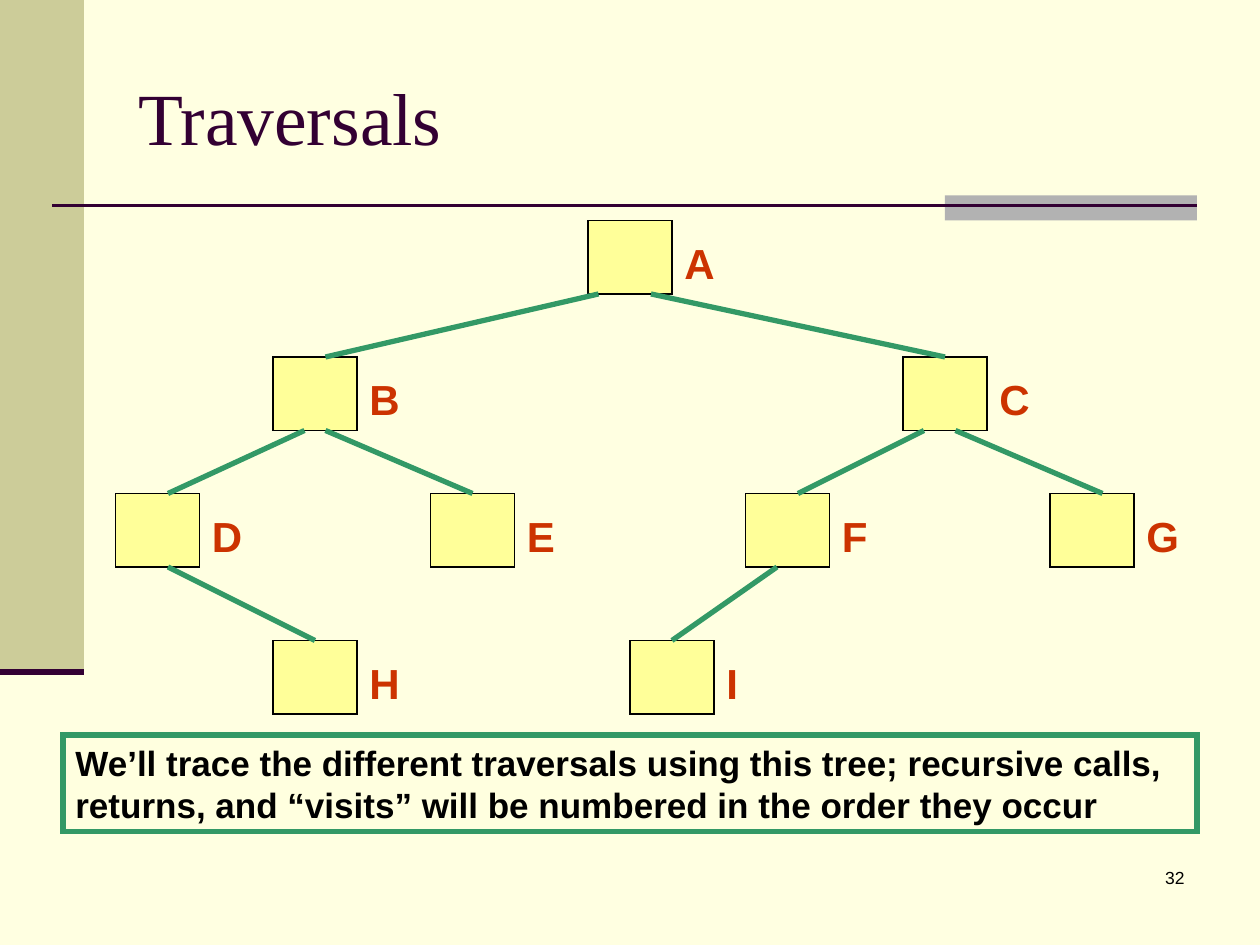
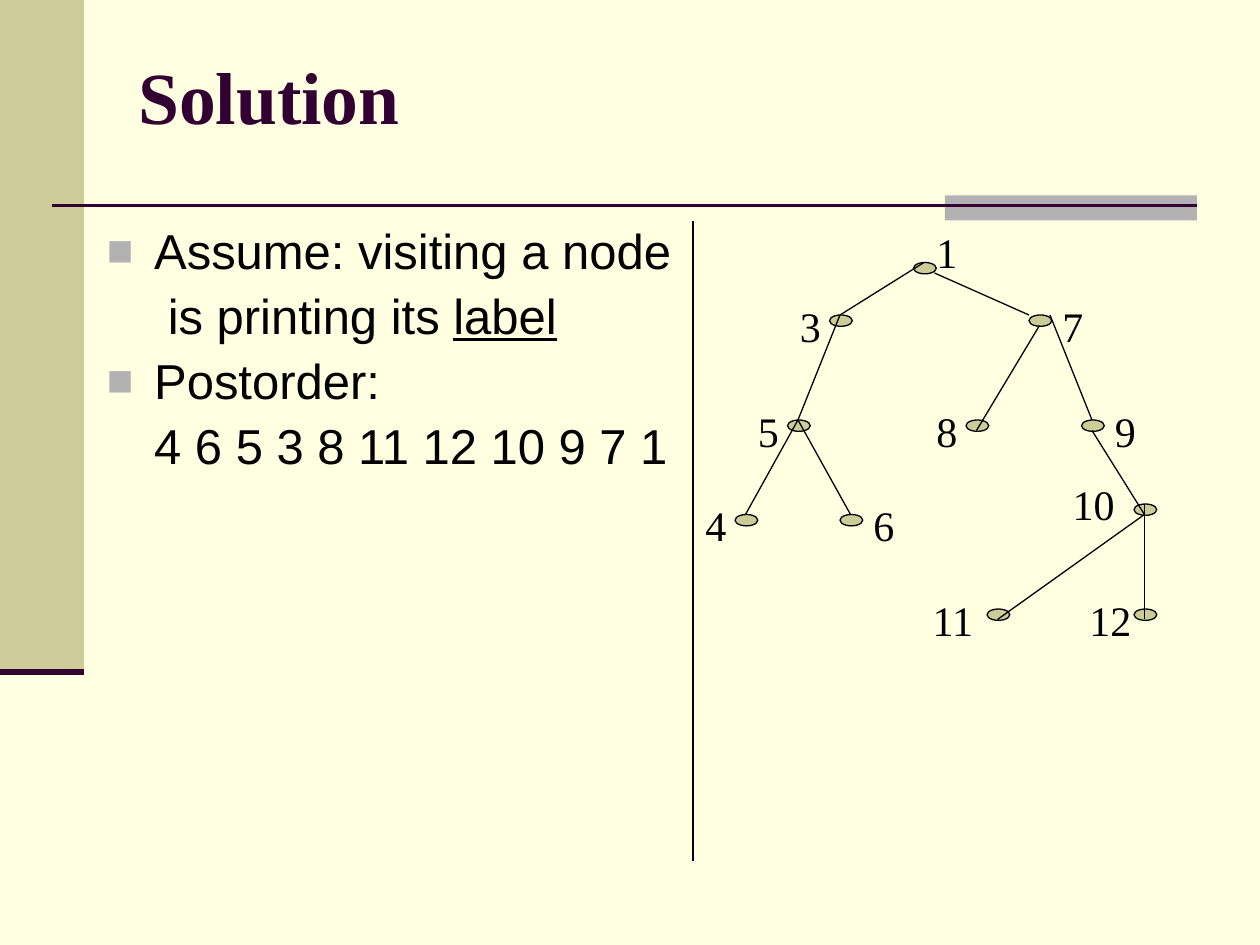
from dataclasses import dataclass
from typing import Any, NamedTuple

from lxml.etree import SubElement
from pptx import Presentation
from pptx.dml.color import RGBColor
from pptx.enum.shapes import MSO_CONNECTOR as Line, MSO_SHAPE as Preset
from pptx.enum.text import MSO_ANCHOR as Anchor, PP_ALIGN as Align
from pptx.oxml.ns import qn
from pptx.util import Pt

# Shared look
COLORS = {
    "page": "FFFFE1", "band": "CCCC99", "plum": "330033", "gray": "B2B2B2",
    "black": "000000", "yellow": "FFFF99", "green": "339966", "red": "CC3300",
    "note": "FFFFDF",
}
SANS, SERIF = "Arial", "Times New Roman"
TITLE_FONT = {"name": SERIF, "size": Pt(42)}
LETTER_FONT = {"name": SANS, "size": Pt(24), "bold": True}
NUMBER_FONT = {"name": SERIF, "size": Pt(24)}
NOTE_FONT = {"name": SANS, "size": Pt(20), "bold": True}
BODY_FONT = {"name": SANS, "size": Pt(28)}
PAGE_FONT = {"name": SANS, "size": Pt(10)}


class Box(NamedTuple):
    left: float
    top: float
    width: float
    height: float


@dataclass
class Node:
    left: float
    top: float
    label_dx: float
    label_dy: float
    label_width: float


@dataclass
class Edge:
    """Offsets run from the top left corner of each node."""
    parent: str
    child: str
    start: tuple[float, float] = (6, 0)
    end: tuple[float, float] = (6, 0)


@dataclass
class TreeStyle:
    preset: Any
    width: float
    height: float
    fill: str
    edge_color: str
    edge_weight: float
    label_font: dict
    label_color: str
    label_align: Any
    label_wrap: bool


class BodyLine(NamedTuple):
    text: str
    underlined: str = ""
    bullet: bool = False


# Drawing helpers
def rgb(color: str) -> RGBColor:
    return RGBColor.from_string(COLORS[color])


def apply(target: Any, values: dict) -> None:
    for attribute, value in values.items():
        setattr(target, attribute, value)


def add_run(paragraph, text: str, font: dict, color: str) -> None:
    run = paragraph.add_run()
    run.text = text
    apply(run.font, font)
    run.font.color.rgb = rgb(color)


def write(shape, text: str, font: dict, color: str, align=Align.LEFT,
          anchor=Anchor.TOP, wrap: bool = True) -> None:
    frame = shape.text_frame
    apply(frame, {"word_wrap": wrap, "vertical_anchor": anchor})
    paragraph = frame.paragraphs[0]
    paragraph.alignment = align
    add_run(paragraph, text, font, color)


def add_text(slide, box: Box, text: str, font: dict, color: str, **layout) -> None:
    write(slide.shapes.add_textbox(*map(Pt, box)), text, font, color, **layout)


def add_block(slide, preset, box: Box, fill: str, line: str = "", weight: float = 0.75):
    block = slide.shapes.add_shape(preset, *map(Pt, box))
    block.shadow.inherit = False
    block.fill.solid()
    block.fill.fore_color.rgb = rgb(fill)
    if line:
        block.line.color.rgb = rgb(line)
        block.line.width = Pt(weight)
        # Square corners
        SubElement(block.element.spPr.find(qn("a:ln")), qn("a:miter"), lim="800000")
    else:
        block.line.fill.background()
    return block


def add_line(slide, x1: float, y1: float, x2: float, y2: float,
             color: str, weight: float) -> None:
    line = slide.shapes.add_connector(Line.STRAIGHT, *map(Pt, (x1, y1, x2, y2)))
    line.line.color.rgb = rgb(color)
    line.line.width = Pt(weight)
    SubElement(line.element.spPr, qn("a:effectLst"))


def add_page(deck, title: str, title_height: float, bold: bool):
    slide = deck.slides.add_slide(deck.slide_layouts[6])
    slide.background.fill.solid()
    slide.background.fill.fore_color.rgb = rgb("page")
    add_block(slide, Preset.RECTANGLE, Box(0, 0, 48, 384), "band")
    add_block(slide, Preset.RECTANGLE, Box(540, 111.6, 144, 14.4), "gray")
    add_line(slide, 30, 117.5, 684, 117.5, "plum", 1.5)
    add_line(slide, 0, 384, 48, 384, "plum", 3.5)
    add_text(slide, Box(72, 21.6, 612, title_height), title,
             TITLE_FONT | {"bold": bold}, "plum", anchor=Anchor.MIDDLE)
    return slide


def add_tree(slide, nodes: dict[str, Node], edges: list[Edge], style: TreeStyle) -> None:
    for node in nodes.values():
        add_block(slide, style.preset,
                  Box(node.left, node.top, style.width, style.height),
                  style.fill, "black")
    for edge in edges:
        parent, child = nodes[edge.parent], nodes[edge.child]
        add_line(slide, parent.left + edge.start[0], parent.top + edge.start[1],
                 child.left + edge.end[0], child.top + edge.end[1],
                 style.edge_color, style.edge_weight)
    for label, node in nodes.items():
        box = Box(node.left + node.label_dx, node.top + node.label_dy,
                  node.label_width, 36)
        add_text(slide, box, label, style.label_font, style.label_color,
                 align=style.label_align, wrap=style.label_wrap)


def add_body(slide, box: Box, lines: list[BodyLine]) -> None:
    frame = slide.shapes.add_textbox(*map(Pt, box)).text_frame
    frame.word_wrap = True
    for index, line in enumerate(lines):
        paragraph = frame.add_paragraph() if index else frame.paragraphs[0]
        apply(paragraph, {"line_spacing": 0.9, "space_before": Pt(7)})
        add_run(paragraph, line.text, BODY_FONT, "black")
        if line.underlined:
            add_run(paragraph, line.underlined, BODY_FONT | {"underline": True}, "black")
        properties = paragraph._p.get_or_add_pPr()
        properties.set("marL", str(Pt(27)))
        properties.set("indent", str(Pt(-27 if line.bullet else 0)))
        if line.bullet:
            tint = SubElement(properties, qn("a:buClr"))
            SubElement(tint, qn("a:srgbClr"), val=COLORS["gray"])
            SubElement(properties, qn("a:buSzPct"), val="90000")
            SubElement(properties, qn("a:buFont"), typeface=SANS)
            SubElement(properties, qn("a:buChar"), char="■")


# Traversals: lettered tree
LETTER_STYLE = TreeStyle(Preset.RECTANGLE, 48, 42, "yellow", "green", 3,
                         LETTER_FONT, "red", Align.LEFT, True)
LETTER_ROWS = {
    126: {"A": 336},
    204: {"B": 156, "C": 516},
    282: {"D": 66, "E": 246, "F": 426, "G": 600},
    366: {"H": 156, "I": 360},
}
LETTER_NODES = {
    letter: Node(left, top, 48, 6, 42 if letter == "G" else 96)
    for top, row in LETTER_ROWS.items() for letter, left in row.items()
}
# Each edge leaves the bottom of its parent and meets the top of its child
LETTER_EDGES = [
    Edge(parent, child, (start, LETTER_STYLE.height), (end, 0))
    for parent, child, start, end in [
        ("A", "B", 6, 30), ("A", "C", 36, 24), ("B", "D", 18, 30),
        ("B", "E", 30, 24), ("C", "F", 12, 30), ("C", "G", 30, 30),
        ("D", "H", 30, 24), ("F", "I", 18, 24),
    ]
]


def build_traversals(deck) -> None:
    slide = add_page(deck, "Traversals", 90, False)
    add_tree(slide, LETTER_NODES, LETTER_EDGES, LETTER_STYLE)
    note = add_block(slide, Preset.RECTANGLE, Box(36, 420, 648, 55.4),
                     "note", "green", 3)
    write(note, "We’ll trace the different traversals using this tree; recursive calls, "
          "returns, and “visits” will be numbered in the order they occur",
          NOTE_FONT, "black")
    add_text(slide, Box(534, 492, 150, 36), "32", PAGE_FONT, "black", align=Align.RIGHT)


# Solution: numbered tree
NUMBER_STYLE = TreeStyle(Preset.OVAL, 13, 6.5, "band", "black", 0.75,
                         NUMBER_FONT, "black", Align.CENTER, False)
NUMBER_NODES = {
    "1": Node(522, 150, 6, -24, 26),
    "3": Node(474, 180, -24, -12, 26),
    "7": Node(588, 180, 12, -12, 24),
    "5": Node(450, 240, -24, -12, 26),
    "8": Node(552, 240, -24, -12, 26),
    "9": Node(618, 240, 12, -12, 26),
    "4": Node(420, 294, -24, -12, 26),
    "6": Node(480, 294, 12, -12, 26),
    "10": Node(648, 288, -45.5, -18, 45),
    "11": Node(564, 348, -42, -12, 45),
    "12": Node(648, 348, -36, -12, 45),
}
NUMBER_EDGES = [
    Edge("1", "3"),
    Edge("1", "7", (12, 6), (0, 0)),
    Edge("3", "5"),
    Edge("7", "8", (6, 6), (6, 6)),
    Edge("7", "9", (12, 0)),
    Edge("5", "4"),
    Edge("5", "6"),
    Edge("9", "10", (6, 6), (6, 6)),
    Edge("10", "11", (6, 6), (6, 6)),
    Edge("10", "12", (6, 0), (6, 6)),
]
SOLUTION_LINES = [
    BodyLine("Assume: visiting a node", bullet=True),
    BodyLine(" is printing its ", "label"),
    BodyLine("Postorder:", bullet=True),
    BodyLine("4 6 5 3 8 11 12 10 9 7 1"),
]


def build_solution(deck) -> None:
    slide = add_page(deck, "Solution", 66, True)
    add_body(slide, Box(54, 126, 630, 354), SOLUTION_LINES)
    add_tree(slide, NUMBER_NODES, NUMBER_EDGES, NUMBER_STYLE)
    add_line(slide, 396, 126, 396, 492, "black", 0.75)


def main() -> None:
    deck = Presentation()
    apply(deck, {"slide_width": Pt(720), "slide_height": Pt(540)})
    build_traversals(deck)
    build_solution(deck)
    deck.save("out.pptx")


if __name__ == "__main__":
    main()
